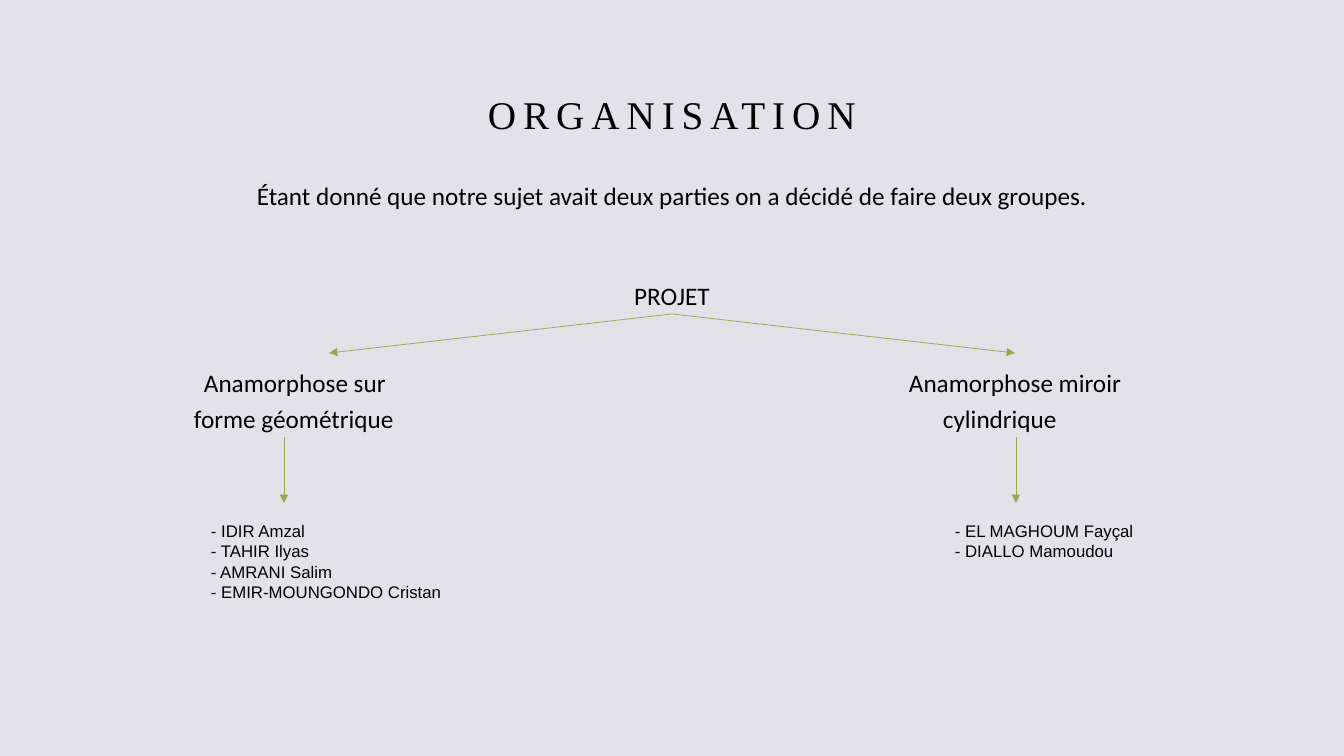
from lxml.etree import SubElement
from pptx import Presentation
from pptx.dml.color import RGBColor
from pptx.enum.shapes import MSO_CONNECTOR
from pptx.enum.text import MSO_ANCHOR, PP_ALIGN
from pptx.oxml.ns import qn
from pptx.util import Pt

TITLE = "ORGANISATION"
INTRO = "Étant donné que notre sujet avait deux parties on a décidé de faire deux groupes."
ROOT = "PROJET"
GROUPS = [
    {
        "label": [("Anamorphose sur", 10), ("forme géométrique", 0)],
        "label_left": 194,
        "members": ["- IDIR Amzal", "- TAHIR Ilyas", "- AMRANI Salim", "- EMIR-MOUNGONDO Cristan"],
        "members_left": 201,
        "branch_x": 329,
        "arrow_x": 284,
    },
    {
        "label": [("Anamorphose miroir", 0), ("cylindrique", 34)],
        "label_left": 909,
        "members": ["- EL MAGHOUM Fayçal", "- DIALLO Mamoudou"],
        "members_left": 945,
        "branch_x": 1015,
        "arrow_x": 1016,
    },
]

BACKGROUND = RGBColor(0xE3, 0xE2, 0xE8)
BLACK = RGBColor(0, 0, 0)
GREEN = RGBColor(0x93, 0xA9, 0x4E)
EMU_PER_PX = 914400 / 100.8
WIDTH, HEIGHT = 1344, 756
ROOT_POINT = (WIDTH // 2, 314)
BRANCH_END = 353
ARROW_TOP, ARROW_BOTTOM = 437, 503
LABEL_TOP, LABEL_WIDTH, LABEL_HEIGHT = 361, 240, 74
MEMBERS_TOP, MEMBERS_WIDTH, MEMBER_HEIGHT = 516, 255, 20


def px(*lengths):
    return [round(length * EMU_PER_PX) for length in lengths]


def place(shape, *box):
    shape.left, shape.top, shape.width, shape.height = px(*box)


def style(paragraph, font_name, size, line_spacing=1.0, alignment=PP_ALIGN.LEFT):
    paragraph.alignment = alignment
    paragraph.line_spacing = line_spacing
    paragraph.space_before = Pt(0)
    paragraph.font.name = font_name
    paragraph.font.size = Pt(size)
    paragraph.font.color.rgb = BLACK


def add_text(slide, lines, *box):
    frame = slide.shapes.add_textbox(*px(*box)).text_frame
    frame.word_wrap = True
    frame.text = "\n".join(lines)
    return frame


def add_arrow(slide, start, end):
    arrow = slide.shapes.add_connector(MSO_CONNECTOR.STRAIGHT, *px(*start, *end))
    arrow.line.color.rgb = GREEN
    arrow.line.width = Pt(0.5)
    SubElement(arrow.line._get_or_add_ln(), qn("a:tailEnd"), type="triangle")
    SubElement(arrow._element.spPr, qn("a:effectLst"))


def add_title(slide):
    title = slide.shapes.title
    place(title, 143, 49, 1058, 120)
    title.text_frame.text = TITLE
    title.text_frame.vertical_anchor = MSO_ANCHOR.MIDDLE
    paragraph = title.text_frame.paragraphs[0]
    style(paragraph, "Times New Roman", 28, 1.2, PP_ALIGN.CENTER)
    paragraph.runs[0].font._element.set("spc", "500")


def add_body(slide):
    body = slide.placeholders[1]
    place(body, 93, 169, 1158, 523)
    body.text_frame.text = f"{INTRO}\n{ROOT}"
    for paragraph in body.text_frame.paragraphs:
        style(paragraph, "Calibri", 18, 1.2, PP_ALIGN.CENTER)
        properties = paragraph._p.get_or_add_pPr()
        properties.set("marL", "0")
        properties.set("indent", "0")
        properties.insert_element_before(
            SubElement(properties, qn("a:buNone")), "a:tabLst", "a:defRPr", "a:extLst"
        )
    body.text_frame.paragraphs[1].space_before = Pt(46)


def add_group(slide, group):
    label = add_text(slide, [text for text, _ in group["label"]],
                     group["label_left"], LABEL_TOP, LABEL_WIDTH, LABEL_HEIGHT)
    label.margin_left = label.margin_right = label.margin_top = label.margin_bottom = 0
    for paragraph, (_, indent) in zip(label.paragraphs, group["label"]):
        style(paragraph, "Calibri", 18, 1.2)
        paragraph._p.get_or_add_pPr().set("marL", str(px(indent)[0]))

    members = add_text(slide, group["members"], group["members_left"], MEMBERS_TOP,
                       MEMBERS_WIDTH, 10 + MEMBER_HEIGHT * len(group["members"]))
    for paragraph in members.paragraphs:
        style(paragraph, "Arial", 12)

    add_arrow(slide, ROOT_POINT, (group["branch_x"], BRANCH_END))
    add_arrow(slide, (group["arrow_x"], ARROW_TOP), (group["arrow_x"], ARROW_BOTTOM))


def main():
    presentation = Presentation()
    presentation.slide_width, presentation.slide_height = px(WIDTH, HEIGHT)
    slide = presentation.slides.add_slide(presentation.slide_layouts[1])
    slide.background.fill.solid()
    slide.background.fill.fore_color.rgb = BACKGROUND
    add_title(slide)
    add_body(slide)
    for group in GROUPS:
        add_group(slide, group)
    presentation.save("out.pptx")


if __name__ == "__main__":
    main()
